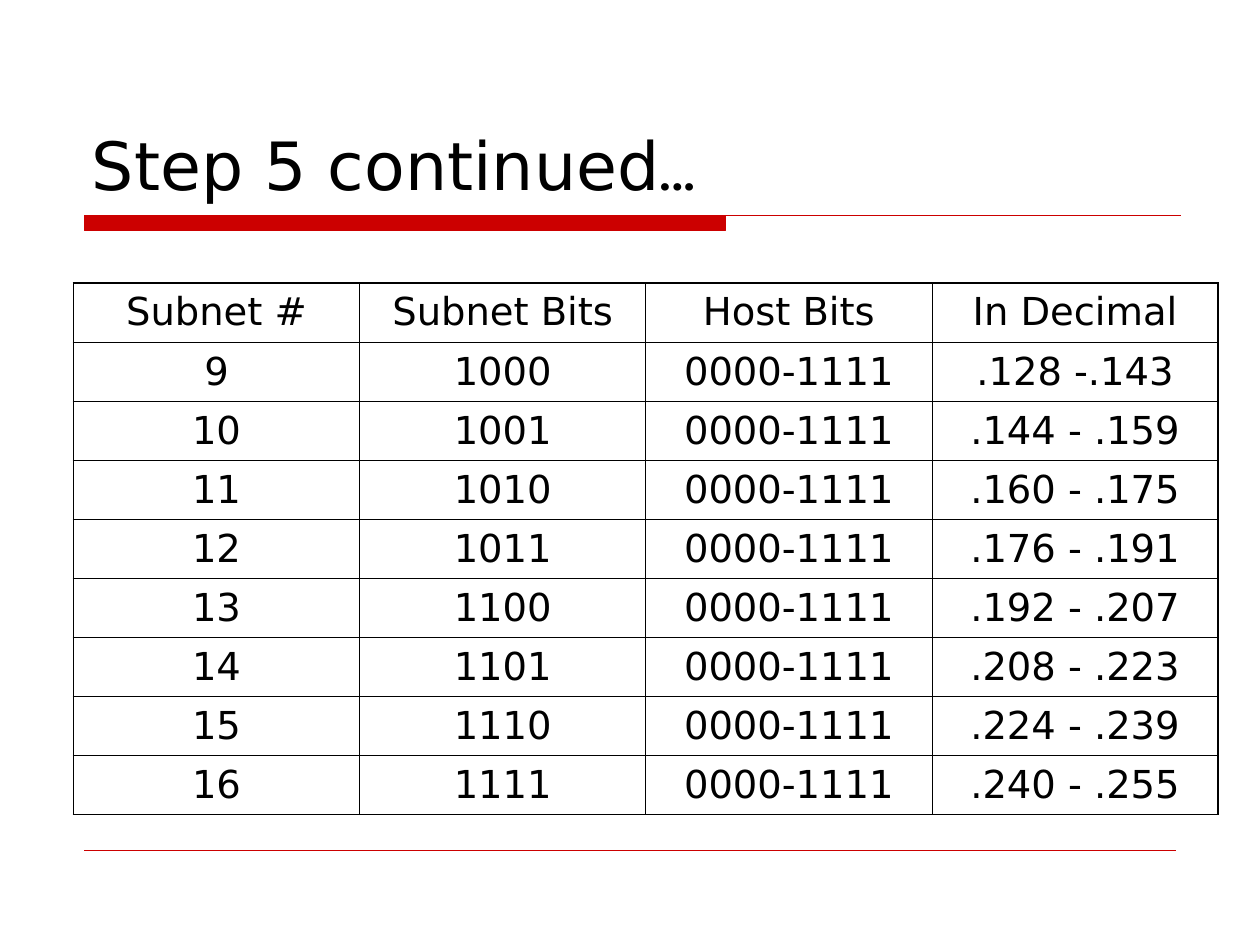
import dataclasses

import pptx
import pptx.dml.color
import pptx.enum.shapes
import pptx.enum.text
import pptx.oxml
import pptx.oxml.ns
import pptx.util
from pptx.util import Cm


@dataclasses.dataclass(frozen=True)
class Theme:
    ink: str = "000000"
    accent: str = "CC0000"
    font: str = "DejaVu Sans"
    ellipsis_font: str = "Karla"
    title_size: float = 38
    cell_size: float = 22
    cell_space: float = 5.5
    title_rule: float = 0.75
    footer_rule: float = 0.25
    outer_border: float = 1.08
    inner_border: float = 0.45


HEADERS = ["Subnet #", "Subnet Bits", "Host Bits", "In Decimal"]
HOST_BITS = "0000-1111"
FIRST_SUBNET = 9
DECIMAL_RANGES = [
    ".128 -.143", ".144 - .159", ".160 - .175", ".176 - .191",
    ".192 - .207", ".208 - .223", ".224 - .239", ".240 - .255",
]


def color(value):
    return pptx.dml.color.RGBColor.from_string(value)


class SlideBuilder:
    def __init__(self, slide, theme):
        self.slide = slide
        self.theme = theme

    def style_font(self, font, size):
        font.name = self.theme.font
        font.size = pptx.util.Pt(size)
        font.color.rgb = color(self.theme.ink)

    def style_line(self, shape, width):
        shape.line.color.rgb = color(self.theme.accent)
        shape.line.width = pptx.util.Pt(width)

    def title(self, text, ending, left, top, width, height):
        """Fill the title placeholder; the ending is set in its own font."""
        box = self.slide.shapes.title
        box.left, box.top, box.width, box.height = left, top, width, height
        frame = box.text_frame
        frame.auto_size = pptx.enum.text.MSO_AUTO_SIZE.NONE
        frame.vertical_anchor = pptx.enum.text.MSO_ANCHOR.BOTTOM
        para = frame.paragraphs[0]
        para.alignment = pptx.enum.text.PP_ALIGN.LEFT
        self.style_font(para.font, self.theme.title_size)
        para.add_run().text = text
        span = para.add_run()
        span.text = ending
        span.font.name = self.theme.ellipsis_font

    def title_bar(self, left, top, bar_right, bar_bottom, line_right):
        """Draw a thick bar whose top edge runs on as a thin line."""
        builder = self.slide.shapes.build_freeform(left, top)
        builder.add_line_segments(
            [(bar_right, top), (bar_right, bar_bottom), (left, bar_bottom)], close=True
        )
        builder.move_to(left, top)
        builder.add_line_segments([(line_right, top)], close=False)
        bar = builder.convert_to_shape()
        bar.shadow.inherit = False
        bar.fill.solid()
        bar.fill.fore_color.rgb = color(self.theme.accent)
        self.style_line(bar, self.theme.title_rule)

    def rule(self, left, right, top):
        line = self.slide.shapes.add_connector(
            pptx.enum.shapes.MSO_CONNECTOR.STRAIGHT, left, top, right, top
        )
        self.style_line(line, self.theme.footer_rule)
        properties = line._element.spPr
        properties.append(pptx.oxml.parse_xml(
            f"<a:effectLst {pptx.oxml.ns.nsdecls('a')}/>"
        ))

    def borders(self, cell, outer_sides):
        """Draw all four cell borders, heavier on the table's outer sides."""
        properties = cell._tc.get_or_add_tcPr()
        for side in "LRTB":
            points = self.theme.outer_border if side in outer_sides else self.theme.inner_border
            properties.append(pptx.oxml.parse_xml(
                f"<a:ln{side} {pptx.oxml.ns.nsdecls('a')} w='{pptx.util.Pt(points)}'>"
                f"<a:solidFill><a:srgbClr val='{self.theme.ink}'/></a:solidFill>"
                f"</a:ln{side}>"
            ))

    def table(self, rows, left, top, column_width, row_height):
        last_row, last_column = len(rows) - 1, len(rows[0]) - 1
        table = self.slide.shapes.add_table(
            len(rows), len(rows[0]), left, top,
            column_width * len(rows[0]), row_height * len(rows),
        ).table
        table.first_row = False
        table.horz_banding = False
        for r, row in enumerate(rows):
            for c, text in enumerate(row):
                cell = table.cell(r, c)
                edges = {"L": c == 0, "R": c == last_column, "T": r == 0, "B": r == last_row}
                self.borders(cell, [side for side, outer in edges.items() if outer])
                cell.fill.background()
                anchors = pptx.enum.text.MSO_ANCHOR
                cell.vertical_anchor = anchors.MIDDLE if r else anchors.TOP
                cell.text = text
                para = cell.text_frame.paragraphs[0]
                para.alignment = pptx.enum.text.PP_ALIGN.CENTER
                para.space_before = pptx.util.Pt(self.theme.cell_space)
                self.style_font(para.font, self.theme.cell_size)


def main():
    deck = pptx.Presentation()
    deck.slide_width, deck.slide_height = Cm(25.4), Cm(19.05)
    title_only = deck.slide_layouts[5]
    page = SlideBuilder(deck.slides.add_slide(title_only), Theme())

    page.title_bar(Cm(1.7), Cm(4.35), Cm(14.62), Cm(4.65), Cm(23.8))
    page.rule(Cm(1.7), Cm(23.7), Cm(17.15))
    page.title("Step 5 continued", "…", Cm(1.6), Cm(0.85), Cm(22.23), Cm(3.38))

    subnets = [
        [str(number), f"{number - 1:04b}", HOST_BITS, decimal]
        for number, decimal in enumerate(DECIMAL_RANGES, FIRST_SUBNET)
    ]
    page.table([HEADERS] + subnets, Cm(1.48), Cm(5.71), Cm(5.77), Cm(1.19))

    deck.save("out.pptx")


if __name__ == "__main__":
    main()
